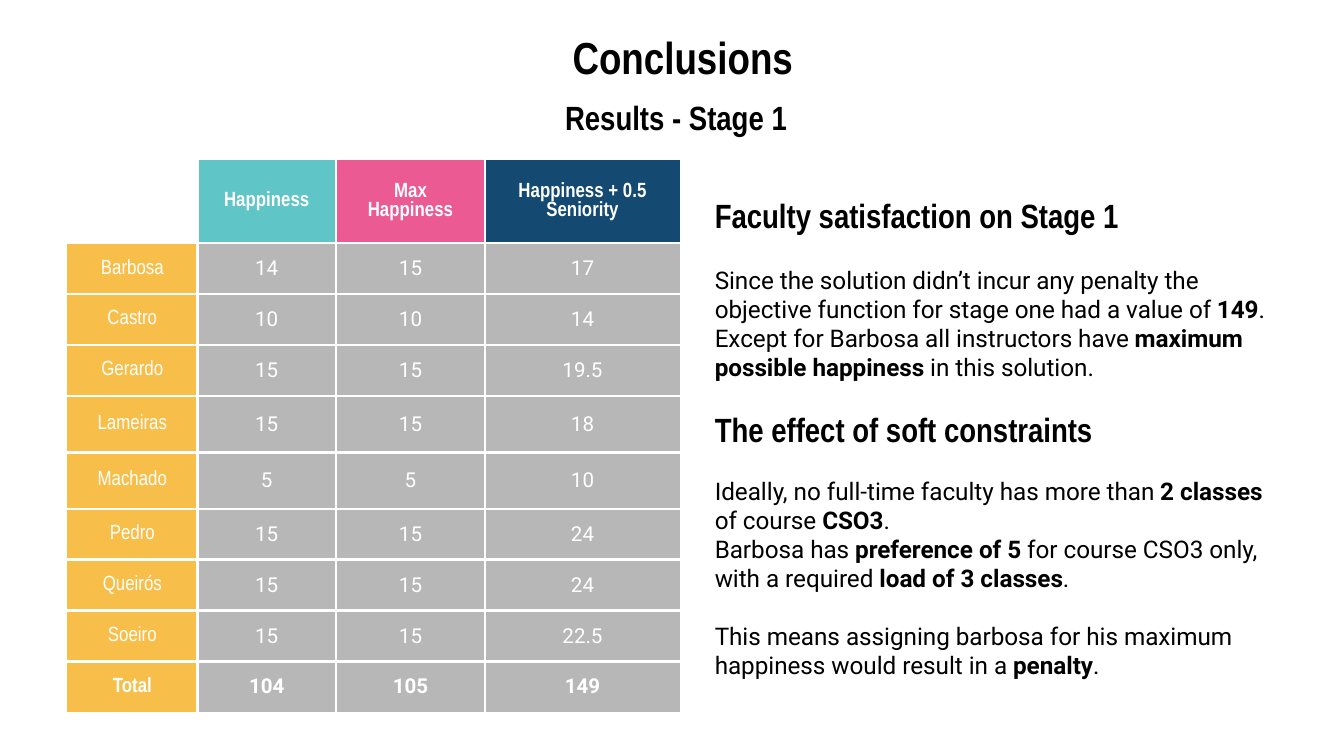
import pptx
import pptx.util
import pptx.dml.color
import pptx.enum.text
import pptx.oxml
import lxml.etree

Inches, Pt = pptx.util.Inches, pptx.util.Pt
CENTER = pptx.enum.text.PP_ALIGN.CENTER
COLORS = {"ink": "000000", "white": "FFFFFF", "teal": "5FC5C6",
          "pink": "EB5A93", "navy": "144971", "gold": "F7BF4A", "gray": "B7B7B7"}
HEAD, BODY = "Arial Narrow", "Roboto"

TITLES = [
    ("Conclusions", 24, (0.42, 0.12, 9.32, 0.63), CENTER),
    ("Results - Stage 1", 18, (2.42, 0.62, 5.22, 0.38), CENTER),
    ("Faculty satisfaction on Stage 1", 18, (5.22, 1.35, 4.46, 0.5), None),
    ("The effect of soft constraints", 18, (5.22, 2.94, 4.46, 0.5), None),
]
NOTES = [
    ((5.22, 1.87, 4.46, 1.08), [
        (0, [("Since the solution didn’t incur any penalty the objective function "
              "for stage one had a value of ", False), ("149", True),
             (". Except for Barbosa all instructors have ", False),
             ("maximum possible happiness ", True), ("in this solution.", False)]),
    ]),
    ((5.22, 3.44, 4.46, 1.73), [
        (0, [("Ideally, no full-time faculty has more than ", False),
             ("2 classes", True), (" of course ", False), ("CSO3", True), (".", False)]),
        (0, [("Barbosa has ", False), ("preference of 5 ", True),
             ("for course CSO3 only, with a required ", False),
             ("load of 3 classes", True), (".", False)]),
        (15.5, [("This means assigning barbosa for his maximum happiness "
                 "would result in a ", False), ("penalty", True), (".", False)]),
    ]),
]
ROWS = [
    ("", "Happiness", "Max Happiness", "Happiness + 0.5 Seniority"),
    ("Barbosa", "14", "15", "17"),
    ("Castro", "10", "10", "14"),
    ("Gerardo", "15", "15", "19.5"),
    ("Lameiras", "15", "15", "18"),
    ("Machado", "5", "5", "10"),
    ("Pedro", "15", "15", "24"),
    ("Queirós", "15", "15", "24"),
    ("Soeiro", "15", "15", "22.5"),
    ("Total", "104", "105", "149"),
]
WIDTHS = [0.97, 1.03, 1.11, 1.45]
TALL = {0: 0.62, 4: 0.42, 5: 0.42}
HEIGHTS = [TALL.get(row, 0.33) for row in range(len(ROWS))]
HEADERS = [None, "teal", "pink", "navy"]


def paint(name):
    return pptx.dml.color.RGBColor.from_string(COLORS[name])


def style(run, face, size, bold, color="ink"):
    font = run.font
    font.name, font.size, font.bold = face, Pt(size), bold
    font.color.rgb = paint(color)


def pad(item):
    item.margin_left = item.margin_right = Inches(0.1)
    item.margin_top = item.margin_bottom = Inches(0.1)


def add_box(slide, place):
    frame = slide.shapes.add_textbox(*map(Inches, place)).text_frame
    frame.word_wrap = True
    pad(frame)
    return frame


def add_edges(cell, row, col):
    inner = {"lnL": col > 0, "lnR": col < len(WIDTHS) - 1,
             "lnT": row > 0, "lnB": row < len(ROWS) - 1}
    props = cell._tc.get_or_add_tcPr()
    for side, drawn in inner.items():
        line = lxml.etree.SubElement(props, pptx.oxml.ns.qn("a:" + side), w=str(Pt(1.5)))
        kind = "a:solidFill" if drawn else "a:noFill"
        fill = lxml.etree.SubElement(line, pptx.oxml.ns.qn(kind))
        if drawn:
            lxml.etree.SubElement(fill, pptx.oxml.ns.qn("a:srgbClr"), val=COLORS["white"])


def fill_cell(cell, text, row, col):
    pad(cell)
    cell.vertical_anchor = pptx.enum.text.MSO_ANCHOR.MIDDLE
    add_edges(cell, row, col)
    color = HEADERS[col] if row == 0 else "gold" if col == 0 else "gray"
    if color is None:
        cell.fill.background()
        return
    cell.fill.solid()
    cell.fill.fore_color.rgb = paint(color)
    face = HEAD if row == 0 or col == 0 else BODY
    para = cell.text_frame.paragraphs[0]
    para.text, para.alignment = text, CENTER
    style(para.runs[0], face, 11, row in (0, len(ROWS) - 1), "white")


def add_grid(slide):
    size = (0.5, 1.19, sum(WIDTHS), sum(HEIGHTS))
    table = slide.shapes.add_table(len(ROWS), len(WIDTHS), *map(Inches, size)).table
    table.first_row = table.horz_banding = False
    for col, width in zip(table.columns, WIDTHS):
        col.width = Inches(width)
    for row, height in zip(table.rows, HEIGHTS):
        row.height = Inches(height)
    for row, texts in enumerate(ROWS):
        for col, text in enumerate(texts):
            fill_cell(table.cell(row, col), text, row, col)


def main():
    deck = pptx.Presentation()
    deck.slide_width = Inches(10)
    deck.slide_height = deck.slide_width * 9 // 16
    slide = deck.slides.add_slide(deck.slide_layouts[6])
    add_grid(slide)
    for text, size, place, align in TITLES:
        para = add_box(slide, place).paragraphs[0]
        para.text, para.alignment = text, align
        style(para.runs[0], HEAD, size, True)
    for place, paras in NOTES:
        frame = add_box(slide, place)
        for index, (gap, parts) in enumerate(paras):
            para = frame.add_paragraph() if index else frame.paragraphs[0]
            para.space_before = Pt(gap)
            for text, bold in parts:
                run = para.add_run()
                run.text = text
                style(run, BODY, 13, bold)
    deck.save("out.pptx")


if __name__ == "__main__":
    main()
